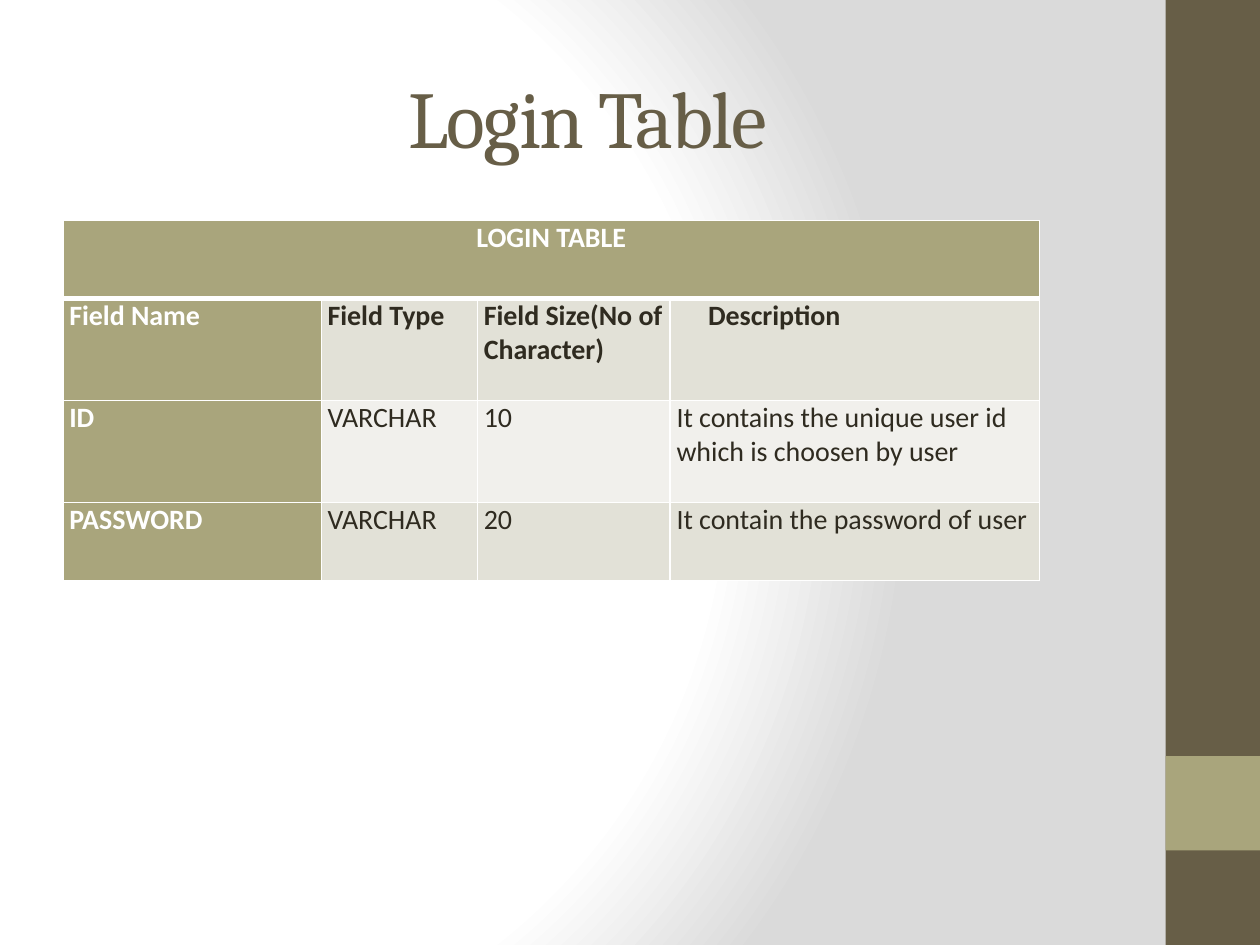
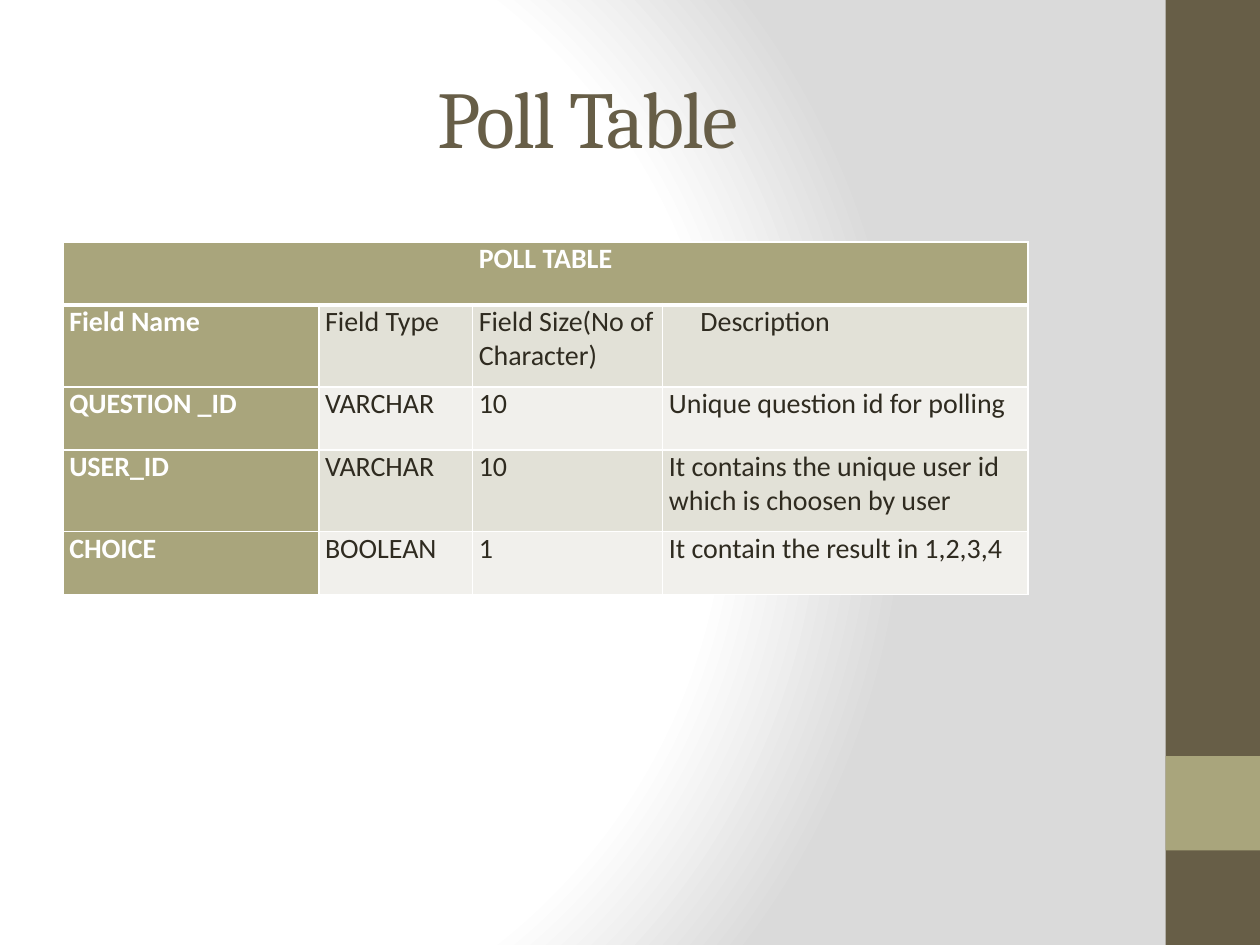
from lxml import etree
from pptx import Presentation
from pptx.dml.color import RGBColor
from pptx.enum.shapes import MSO_SHAPE
from pptx.enum.text import MSO_ANCHOR, PP_ALIGN
from pptx.oxml import parse_xml
from pptx.oxml.ns import nsdecls, qn
from pptx.util import Inches, Pt

RECT = MSO_SHAPE.RECTANGLE
MIDDLE = MSO_ANCHOR.MIDDLE
LEFT, CENTER = PP_ALIGN.LEFT, PP_ALIGN.CENTER

BROWN, OLIVE, INK, WHITE = "675E47", "A9A57C", "2F2B20", "FFFFFF"
ROW_FILLS = ("E2E1D7", "F1F0EC")
BACKDROP_STOPS = ((0, WHITE), (75, WHITE), (100, "DADADA"))

TITLE_BOX = (0.5, 0.3, 8.33, 1.25)
SIDEBAR_BOX = (9.25, 0, 0.75, 7.5)
HEADINGS = ("Field Name", "Field Type", "Field Size(No of Character)", "Description")

TABLES = [
    dict(
        title="Login Table",
        box=(0.5, 1.75, 7.75, 2.86),
        cols=(2.05, 1.24, 1.53, 2.93),
        heights=(0.62, 0.81, 0.81, 0.62),
        bold_headings=True,
        fields=[
            ("ID", "VARCHAR", "10", "It contains the unique user id which is choosen by user"),
            ("PASSWORD", "VARCHAR", "20", "It contain the password of user"),
        ],
    ),
    dict(
        title="Poll Table",
        box=(0.5, 1.92, 7.67, 2.79),
        cols=(2.03, 1.22, 1.51, 2.9),
        heights=(0.5, 0.65, 0.5, 0.65, 0.5),
        bold_headings=False,
        fields=[
            ("QUESTION _ID", "VARCHAR", "10", "Unique question id for polling"),
            ("USER_ID", "VARCHAR", "10", "It contains the unique user id which is choosen by user"),
            ("CHOICE", "BOOLEAN", "1", "It contain the result in 1,2,3,4"),
        ],
    ),
]


def rgb(value):
    return RGBColor.from_string(value)


def write(tf, text, size=16, font="Calibri", color=INK, bold=False, align=LEFT, spacing=0):
    p = tf.paragraphs[0]
    p.alignment = align
    r = p.add_run()
    r.text = text
    r.font.size = Pt(size)
    r.font.name = font
    r.font.bold = bold
    r.font.color.rgb = rgb(color)
    if spacing:
        r.font._element.set("spc", str(spacing * 100))


def set_backdrop(master):
    master.background.fill.solid()
    bg = master.element.find(".//" + qn("p:bgPr"))
    stops = "".join(
        f'<a:gs pos="{pos * 1000}"><a:srgbClr val="{color}"/></a:gs>'
        for pos, color in BACKDROP_STOPS
    )
    bg.replace(bg[0], parse_xml(
        f'<a:gradFill {nsdecls("a")} rotWithShape="1"><a:gsLst>{stops}</a:gsLst>'
        '<a:path path="circle"><a:fillToRect l="20000" t="50000" r="100000" b="50000"/>'
        '</a:path></a:gradFill>'
    ))


def add_band(s, box, color):
    band = s.shapes.add_shape(RECT, *map(Inches, box))
    band.shadow.inherit = False
    band.fill.solid()
    band.fill.fore_color.rgb = rgb(color)
    band.line.fill.background()


def add_sidebar(s, box):
    left, top, width, height = box
    add_band(s, box, BROWN)
    add_band(s, (left, top + 0.8 * height, width, width), OLIVE)


def add_title(s, box, text):
    title = s.shapes.title
    title.left, title.top, title.width, title.height = map(Inches, box)
    tf = title.text_frame
    tf.word_wrap = True
    tf.vertical_anchor = MIDDLE
    write(tf, text, size=46, font="Cambria", color=BROWN, align=CENTER, spacing=-1)


def set_border(cell, **widths):
    tcPr = cell._tc.get_or_add_tcPr()
    for side in "LRTB":
        ln = etree.SubElement(tcPr, qn(f"a:ln{side}"), w=str(Pt(widths.get(side, 1))))
        fill = etree.SubElement(ln, qn("a:solidFill"))
        etree.SubElement(fill, qn("a:srgbClr"), val=WHITE)


def add_field_table(s, box, title, cols, heights, bold_headings, fields):
    rows = [(title.upper(), "", "", ""), HEADINGS, *fields]
    table = s.shapes.add_table(len(rows), len(cols), *map(Inches, box)).table
    for column, width in zip(table.columns, cols):
        column.width = Inches(width)
    for row, height in zip(table.rows, heights):
        row.height = Inches(height)
    table.cell(0, 0).merge(table.cell(0, len(cols) - 1))

    for i, row in enumerate(rows):
        for j, text in enumerate(row):
            cell = table.cell(i, j)
            accent = i == 0 or j == 0
            set_border(cell, T=3 if i == 1 else 1, B=3 if i == 0 else 1)
            cell.fill.solid()
            cell.fill.fore_color.rgb = rgb(OLIVE if accent else ROW_FILLS[(i - 1) % 2])
            indent = 0.25 if text == "Description" else 0
            cell.margin_left = Inches(0.05 + indent)
            cell.margin_right = Inches(0.05)
            cell.margin_top = cell.margin_bottom = 0
            if text:
                write(cell.text_frame, text,
                      color=WHITE if accent else INK,
                      bold=accent or (i == 1 and bold_headings),
                      align=CENTER if i == 0 else LEFT)


def add_table_slide(prs, title, box, **table):
    s = prs.slides.add_slide(prs.slide_layouts[5])
    add_sidebar(s, SIDEBAR_BOX)
    add_title(s, TITLE_BOX, title)
    add_field_table(s, box, title, **table)


def main():
    prs = Presentation()
    prs.slide_width, prs.slide_height = Inches(10), Inches(7.5)
    set_backdrop(prs.slide_master)
    for table in TABLES:
        add_table_slide(prs, **table)
    prs.save("out.pptx")


if __name__ == "__main__":
    main()
